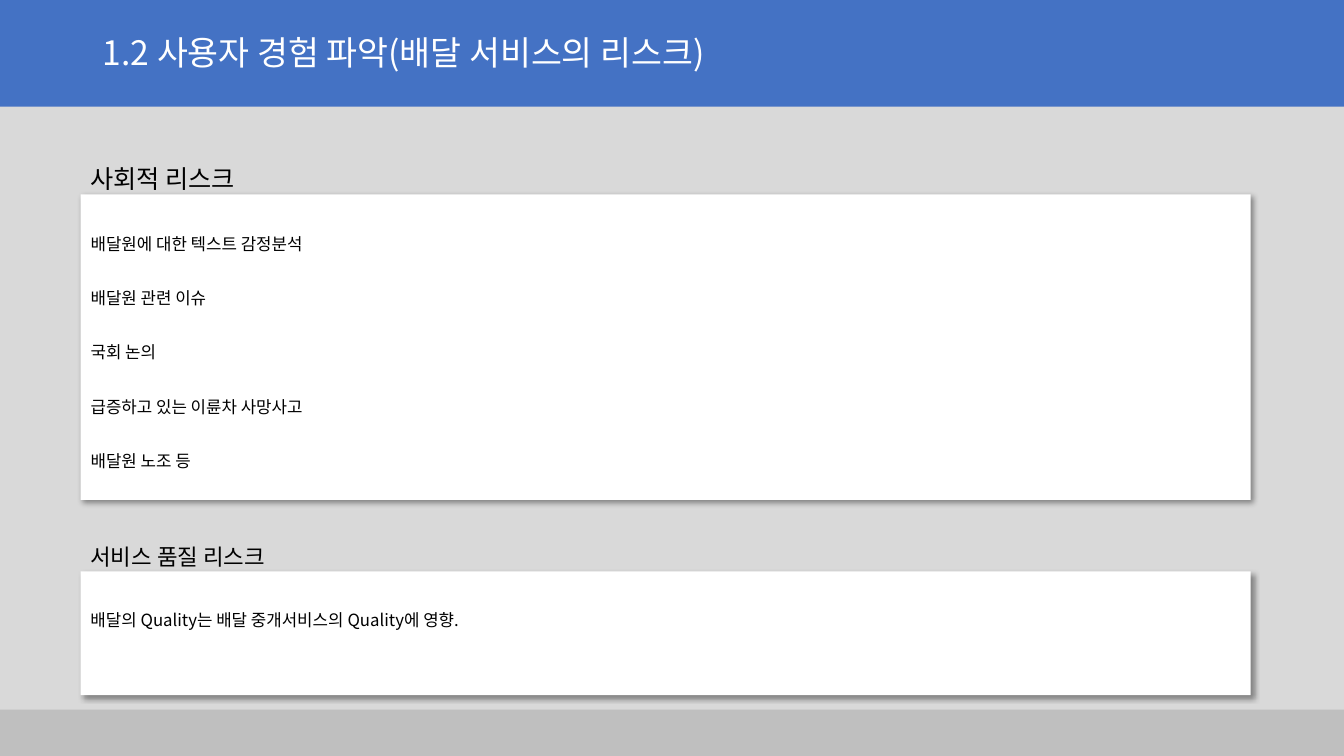
from lxml.etree import SubElement
from pptx import Presentation
from pptx.dml.color import RGBColor
from pptx.enum.shapes import MSO_SHAPE
from pptx.enum.text import MSO_ANCHOR, PP_ALIGN
from pptx.oxml.ns import qn
from pptx.util import Cm, Pt

FONT = "Noto Sans CJK KR"
BLUE = RGBColor(0x44, 0x72, 0xC4)
PAGE = RGBColor(0xD9, 0xD9, 0xD9)
FOOTER = RGBColor(0xBF, 0xBF, 0xBF)
WHITE = RGBColor(0xFF, 0xFF, 0xFF)
BLACK = RGBColor(0, 0, 0)

WIDTH, HEIGHT = 33.87, 19.05
LEFT, CARD_WIDTH = 2.03, 29.49


def write(p, text, size=12, color=BLACK, align=PP_ALIGN.JUSTIFY, spacing=1.5, before=0):
    """Fill a paragraph with one formatted run."""
    p.alignment = align
    p.line_spacing = spacing
    p.space_before = Pt(before)
    r = p.add_run()
    r.text = text
    r.font.size = Pt(size)
    r.font.color.rgb = color
    r.font.name = FONT
    SubElement(r.font._element, qn("a:ea"), typeface=FONT)


def place(sp, left, top, width, height):
    sp.left, sp.top, sp.width, sp.height = Cm(left), Cm(top), Cm(width), Cm(height)


def add_shadow(sp):
    """Soft black shadow falling to the lower right."""
    effects = SubElement(sp.element.spPr, qn("a:effectLst"))
    shadow = SubElement(effects, qn("a:outerShdw"), blurRad=str(Pt(4)), dist=str(Pt(3)),
                        dir="2700000", algn="tl", rotWithShape="0")
    color = SubElement(shadow, qn("a:srgbClr"), val=str(BLACK))
    SubElement(color, qn("a:alpha"), val="40000")


class SlideBuilder:
    def __init__(self, prs):
        self.s = prs.slides.add_slide(prs.slide_layouts[1])
        self.s.background.fill.solid()
        self.s.background.fill.fore_color.rgb = PAGE

    def rect(self, left, top, width, height, color):
        sp = self.s.shapes.add_shape(MSO_SHAPE.RECTANGLE, Cm(left), Cm(top), Cm(width), Cm(height))
        sp.fill.solid()
        sp.fill.fore_color.rgb = color
        sp.line.fill.background()
        sp.shadow.inherit = False
        return sp

    def to_front(self, sp):
        self.s.shapes.element.append(sp.element)

    def title(self, text):
        sp = self.s.shapes.title
        place(sp, 2.34, 0.61, 29.21, 1.55)
        self.to_front(sp)
        tf = sp.text_frame
        tf.vertical_anchor = MSO_ANCHOR.MIDDLE
        write(tf.paragraphs[0], text, size=24, color=WHITE, align=PP_ALIGN.LEFT, spacing=0.9)

    def heading(self, text, top, height, size):
        sp = self.s.shapes.add_textbox(Cm(LEFT), Cm(top), Cm(16.94), Cm(height))
        sp.text_frame.word_wrap = True
        write(sp.text_frame.paragraphs[0], text, size=size)

    def list_card(self, items, top, height):
        sp = self.s.placeholders[1]
        place(sp, LEFT, top, CARD_WIDTH, height)
        self.to_front(sp)
        sp.fill.solid()
        sp.fill.fore_color.rgb = WHITE
        add_shadow(sp)
        tf = sp.text_frame
        tf.vertical_anchor = MSO_ANCHOR.MIDDLE
        for i, item in enumerate(items):
            p = tf.add_paragraph() if i else tf.paragraphs[0]
            write(p, item, before=17.2 if i else 0)
            pPr = p._p.get_or_add_pPr()
            pPr.set("marL", "0")
            pPr.set("indent", "0")
            SubElement(pPr, qn("a:buNone"))

    def note_card(self, text, top, height):
        sp = self.rect(LEFT, top, CARD_WIDTH, height, WHITE)
        sp.element.spPr.remove(sp.element.spPr.find(qn("a:effectLst")))
        add_shadow(sp)
        tf = sp.text_frame
        tf.word_wrap = True
        tf.vertical_anchor = MSO_ANCHOR.TOP
        tf.margin_top = Cm(0.7)
        write(tf.paragraphs[0], text)


def main():
    prs = Presentation()
    prs.slide_width, prs.slide_height = Cm(WIDTH), Cm(HEIGHT)
    slide = SlideBuilder(prs)

    # Footer and header bands
    slide.rect(0, 17.88, WIDTH, 1.17, FOOTER)
    slide.rect(0, 0, WIDTH, 2.69, BLUE)
    slide.title("1.2 사용자 경험 파악(배달 서비스의 리스크)")

    # Service quality risk
    slide.note_card("배달의 Quality는 배달 중개서비스의 Quality에 영향.", 14.4, 3.12)

    # Social risk
    slide.list_card([
        "배달원에 대한 텍스트 감정분석",
        "배달원 관련 이슈",
        "국회 논의",
        "급증하고 있는 이륜차 사망사고",
        "배달원 노조 등",
    ], 4.9, 7.7)

    # Section headings
    slide.heading("서비스 품질 리스크", 13.23, 1.19, 16)
    slide.heading("사회적 리스크", 3.61, 1.3, 18)

    prs.save("out.pptx")


if __name__ == "__main__":
    main()
